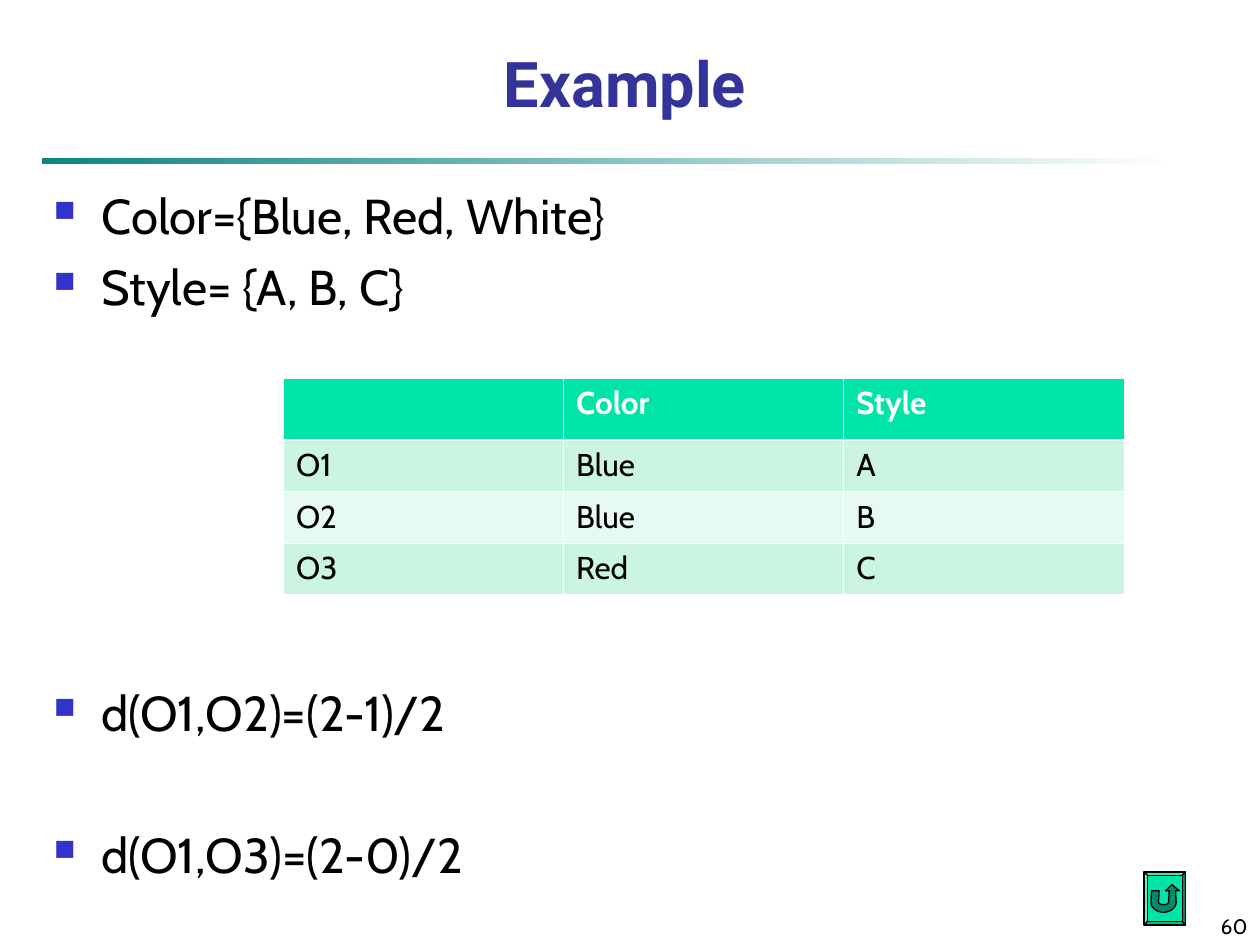
from math import cos, pi, sin

from lxml.etree import SubElement
from pptx import Presentation
from pptx.dml.color import RGBColor
from pptx.enum.shapes import MSO_SHAPE
from pptx.enum.text import MSO_ANCHOR, MSO_AUTO_SIZE, PP_ALIGN
from pptx.oxml.ns import qn
from pptx.util import Inches, Pt

THEME = {
    "title_font": "Roboto", "body_font": "Cabin",
    "title_size": 36, "body_size": 28, "table_size": 18, "number_size": 12,
    "title": "333399", "text": "000000", "bullet": "3333CC", "white": "FFFFFF",
    "rule": "0D8681", "accent": "00E4A8", "accent_dark": "00896A",
    "bands": ("CBF5E1", "E7FAF1"),
}
TITLE = "Example"
PAGE_NUMBER = "60"
LINE_STEP = 40.6
PARAGRAPH_GAP = 7
BULLETS = [
    ("Color={Blue, Red, White}", 0),
    ("Style= {A, B, C}", 0),
    ("d(O1,O2)=(2-1)/2", 5),
    ("d(O1,O3)=(2-0)/2", 1),
]
TABLE = [
    ("", "Color", "Style"),
    ("O1", "Blue", "A"),
    ("O2", "Blue", "B"),
    ("O3", "Red", "C"),
]
COLUMN_WIDTH = 6.67 / 3
HEADER_HEIGHT, ROW_HEIGHT = 0.49, 0.41


def color(name):
    return RGBColor.from_string(THEME.get(name, name))


def place(*lengths):
    return [Inches(length) for length in lengths]


def add_bullet(para):
    properties = para._p.get_or_add_pPr()
    properties.set("marL", str(Inches(0.38)))
    properties.set("indent", str(-Inches(0.38)))
    tint = SubElement(properties, qn("a:buClr"))
    SubElement(tint, qn("a:srgbClr"), val=THEME["bullet"])
    SubElement(properties, qn("a:buSzPct"), val="60000")
    SubElement(properties, qn("a:buChar"), char="■")


def write(para, text, size="body_size", font="body_font", fill="text",
          bold=False, align=PP_ALIGN.LEFT, before=0, bullet=False):
    para.alignment = align
    para.space_before = Pt(before)
    if bullet:
        add_bullet(para)
    span = para.add_run()
    span.text = text
    span.font.name = THEME[font]
    span.font.size = Pt(THEME[size])
    span.font.bold = bold
    span.font.color.rgb = color(fill)


def add_text_box(page, at, anchor=MSO_ANCHOR.TOP):
    frame = page.shapes.add_textbox(*place(*at)).text_frame
    frame.word_wrap = True
    frame.vertical_anchor = anchor
    return frame


def add_title(page):
    title = page.shapes.title
    title.left, title.top, title.width, title.height = place(0.17, 0.33, 9.58, 0.67)
    frame = title.text_frame
    frame.auto_size = MSO_AUTO_SIZE.NONE
    frame.vertical_anchor = MSO_ANCHOR.BOTTOM
    write(frame.paragraphs[0], TITLE, size="title_size", font="title_font",
          fill="title", bold=True, align=PP_ALIGN.CENTER)


def add_rule(page):
    rule = page.shapes.add_shape(MSO_SHAPE.RECTANGLE, *place(0.33, 1.25, 9, 0.05))
    rule.shadow.inherit = False
    rule.line.fill.background()
    rule.fill.gradient()
    rule.fill.gradient_angle = 0
    for stop, name, position in zip(rule.fill.gradient_stops, ("rule", "white"), (0, 1)):
        stop.color.rgb = color(name)
        stop.position = position


def add_bullets(page):
    frame = add_text_box(page, (0.33, 1.42, 9.17, 5.67))
    for index, (text, skipped) in enumerate(BULLETS):
        para = frame.add_paragraph() if index else frame.paragraphs[0]
        before = PARAGRAPH_GAP + skipped * LINE_STEP if index else 0
        write(para, text, before=before, bullet=True)


def add_borders(cell, row):
    widths = {"L": 0.45, "R": 0.45, "T": 1.47 if row == 1 else 0.45,
              "B": 1.47 if row == 0 else 0.45}
    properties = cell._tc.get_or_add_tcPr()
    for side, width in widths.items():
        line = SubElement(properties, qn(f"a:ln{side}"), w=str(Pt(width)))
        fill = SubElement(line, qn("a:solidFill"))
        SubElement(fill, qn("a:srgbClr"), val=THEME["white"])


def add_style_table(page):
    height = HEADER_HEIGHT + ROW_HEIGHT * (len(TABLE) - 1)
    table = page.shapes.add_table(len(TABLE), len(TABLE[0]),
                                  *place(2.25, 3, 6.67, height)).table
    for column in table.columns:
        column.width = Inches(COLUMN_WIDTH)
    for row, values in enumerate(TABLE):
        header = row == 0
        table.rows[row].height = Inches(HEADER_HEIGHT if header else ROW_HEIGHT)
        for column, text in enumerate(values):
            cell = table.cell(row, column)
            add_borders(cell, row)
            cell.fill.solid()
            cell.fill.fore_color.rgb = color("accent" if header else THEME["bands"][(row - 1) % 2])
            if text:
                write(cell.text_frame.paragraphs[0], text, size="table_size",
                      fill="white" if header else "text", bold=header)


def half_turn(radius_x, radius_y, start, end, steps=16):
    angles = [start + (end - start) * step / steps for step in range(steps + 1)]
    return [(9.235 + radius_x * cos(angle), 7.16 + radius_y * sin(angle))
            for angle in angles]


def paint(shape, fill):
    shape.shadow.inherit = False
    shape.fill.solid()
    shape.fill.fore_color.rgb = color(fill)
    shape.line.color.rgb = color("text")
    shape.line.width = Pt(0.75)


def add_return_button(page):
    button = page.shapes.add_shape(MSO_SHAPE.BEVEL, *place(9.08, 6.92, 0.33, 0.42))
    button.adjustments[0] = 0.08
    paint(button, "accent")
    outline = [(9.14, 7.07), (9.2, 7.07), *half_turn(0.04, 0.02, pi, 0),
               (9.28, 7.07), (9.25, 7.07), (9.3, 7.02), (9.36, 7.07),
               (9.33, 7.07), *half_turn(0.1, 0.08, 0, pi)]
    points = [place(*point) for point in outline]
    builder = page.shapes.build_freeform(*points[0], scale=1.0)
    builder.add_line_segments(points[1:], close=True)
    paint(builder.convert_to_shape(), "accent_dark")


def main():
    deck = Presentation()
    deck.slide_width, deck.slide_height = place(10, 7.5)
    page = deck.slides.add_slide(deck.slide_layouts[5])
    add_rule(page)
    add_title(page)
    add_bullets(page)
    number = add_text_box(page, (7.92, 7.08, 2.08, 0.42), MSO_ANCHOR.BOTTOM)
    write(number.paragraphs[0], PAGE_NUMBER, size="number_size", align=PP_ALIGN.RIGHT)
    add_style_table(page)
    add_return_button(page)
    deck.save("out.pptx")


if __name__ == "__main__":
    main()
